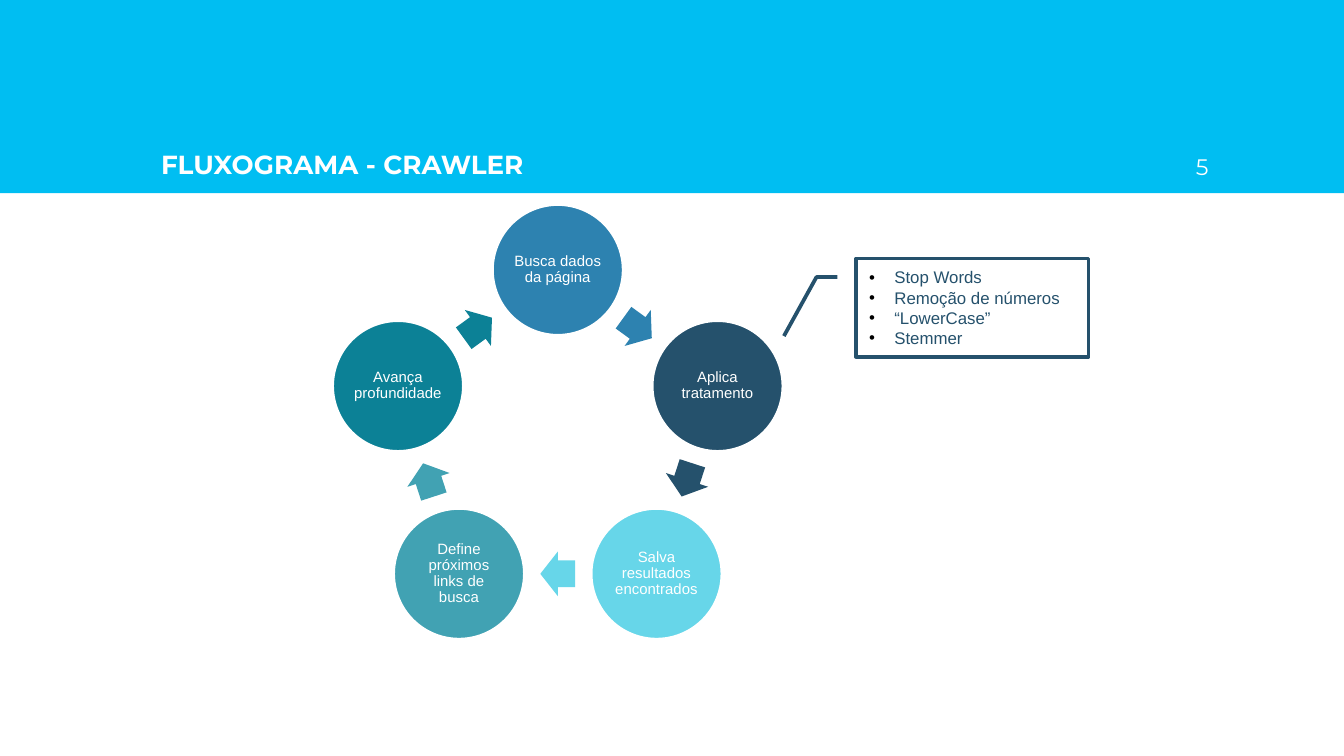
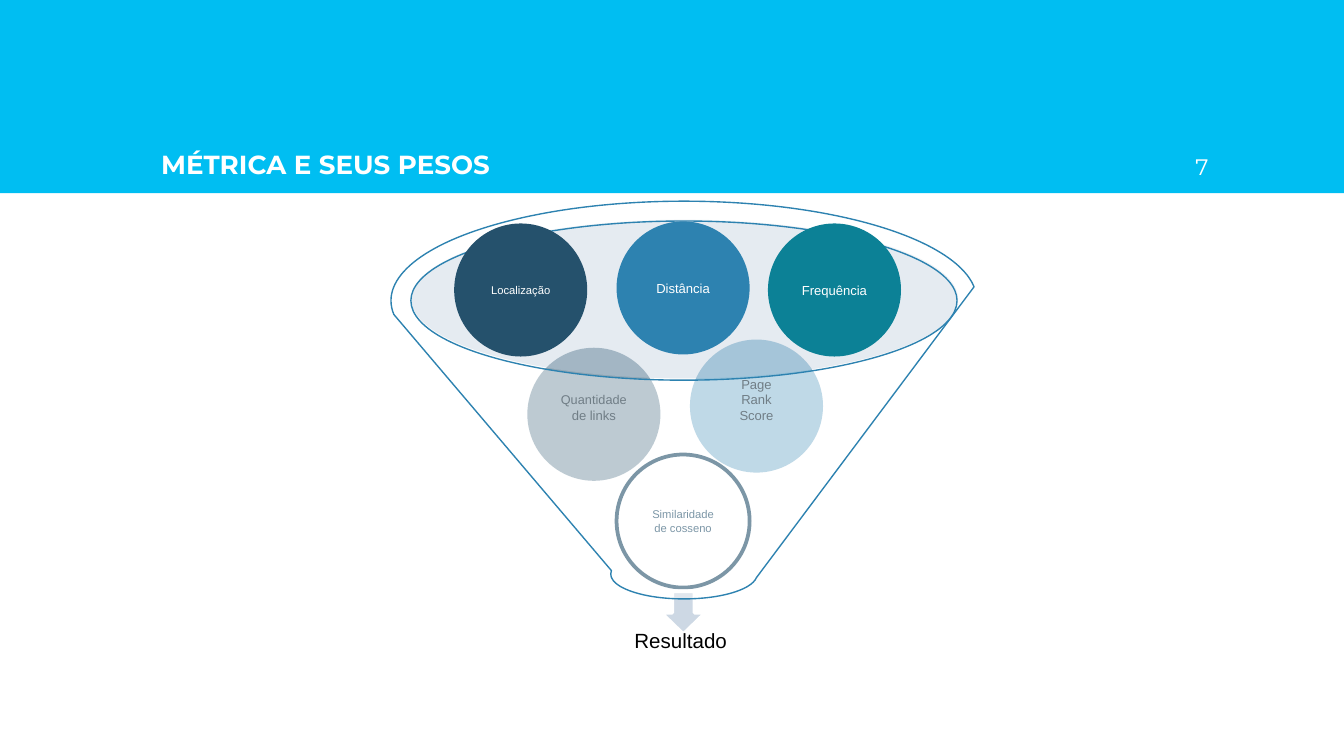
from math import cos, pi, sin

from lxml.etree import SubElement
from pptx import Presentation
from pptx.dml.color import RGBColor
from pptx.enum.shapes import MSO_SHAPE as Geometry
from pptx.enum.text import MSO_ANCHOR as Anchor, PP_ALIGN as Align
from pptx.oxml.ns import qn
from pptx.util import Pt

WHITE, BLACK, SKY = "FFFFFF", "000000", "00BEF2"
NAVY, BLUE, TEAL = "25516C", "2D82B0", "0C8196"
AQUA, SEA, INK = "67D6E9", "41A2B3", "122836"
HAZE, MIST = "BECDDC", "CDD8E4"
BALL = 71.28


def color(code):
    """Turn a hex string into a colour."""
    return RGBColor.from_string(code)


class Slides:
    """Holds the deck, its style and the current page."""

    heading_font, body_font = "Montserrat", "Arial"

    def __init__(self):
        """Start a 16:9 deck."""
        self.deck = Presentation()
        self.deck.slide_width, self.deck.slide_height = Pt(720), Pt(405)
        self.page = None

    def start(self, title, number):
        """Add a page with its band, title and number."""
        self.page = self.deck.slides.add_slide(self.deck.slide_layouts[6])
        self.shape(Geometry.RECTANGLE, 0, 0, 720, 103.5, SKY)
        style = {"font": self.heading_font, "anchor": Anchor.BOTTOM}
        self.text(79.2, 51.1, 561.6, 52.6, title, 14, WHITE,
                  bold=True, align=Align.LEFT, **style)
        self.text(611.3, 51.1, 43.2, 52.6, number, 12, WHITE,
                  align=Align.RIGHT, **style)

    def shape(self, kind, left, top, width, height, fill, opacity=100,
              line=None, weight=2, turn=0, adjust=()):
        """Draw a preset shape."""
        box = self.page.shapes.add_shape(
            kind, Pt(left), Pt(top), Pt(width), Pt(height))
        box.shadow.inherit = False
        box.rotation = turn
        for index, value in enumerate(adjust):
            box.adjustments[index] = value
        box.fill.solid()
        box.fill.fore_color.rgb = color(fill)
        if opacity < 100:
            tint = box.element.spPr.find(qn("a:solidFill"))[0]
            SubElement(tint, qn("a:alpha"), val=str(opacity * 1000))
        if line:
            box.line.color.rgb = color(line)
            box.line.width = Pt(weight)
        else:
            box.line.fill.background()
        return box

    def label(self, box, words, size, ink, font=None, bold=False,
              align=Align.CENTER, anchor=Anchor.MIDDLE, inset=(7.2, 3.6),
              below=0, spacing=None):
        """Fill a box with text, one paragraph a line."""
        frame = box.text_frame
        frame.text = words
        frame.word_wrap = True
        frame.vertical_anchor = anchor
        frame.margin_left = frame.margin_right = Pt(inset[0])
        frame.margin_top = Pt(inset[1])
        frame.margin_bottom = Pt(inset[1] + below)
        for para in frame.paragraphs:
            para.alignment = align
            if spacing:
                para.line_spacing = spacing
            for span in para.runs:
                span.font.name = font or self.body_font
                span.font.size = Pt(size)
                span.font.bold = bold
                span.font.color.rgb = color(ink)
        return frame

    def text(self, left, top, width, height, words, size, ink, **style):
        """Add a text box."""
        box = self.page.shapes.add_textbox(
            Pt(left), Pt(top), Pt(width), Pt(height))
        self.label(box, words, size, ink, inset=(7.2, 7.2), **style)

    def ball(self, left, top, words, size, ink, fill, below=0, **look):
        """Draw a labelled circle of the funnel."""
        box = self.shape(Geometry.OVAL, left, top, BALL, BALL, fill, **look)
        return self.label(box, words, size, ink, below=below)

    def cycle(self, steps, center_x, center_y, radius):
        """Draw steps on a ring with an arrow after each."""
        size, length, breadth = 70.6, 18.7, 23.8
        sector = 2 * pi / len(steps)
        for index, (words, fill) in enumerate(steps):
            angle = index * sector
            box = self.shape(
                Geometry.OVAL,
                center_x + radius * sin(angle) - size / 2,
                center_y - radius * cos(angle) - size / 2,
                size, size, fill, line=WHITE)
            self.label(box, words, 8, WHITE, inset=(0.72, 0.72), spacing=0.9)
            middle = angle + sector / 2
            reach = radius * cos(sector / 2)
            self.shape(
                Geometry.RIGHT_ARROW,
                center_x + reach * sin(middle) - length / 2,
                center_y - reach * cos(middle) - breadth / 2,
                length, breadth, fill, turn=(index + 0.5) * 360 / len(steps),
                adjust=(0.6, 0.5))

    def callout(self, left, top, width, height, items, adjust):
        """Draw a bulleted callout."""
        box = self.shape(Geometry.LINE_CALLOUT_2, left, top, width, height,
                         WHITE, line=NAVY, adjust=adjust)
        frame = self.label(box, "\n".join(items), 9, NAVY, align=Align.LEFT)
        for para in frame.paragraphs:
            layout = para._p.get_or_add_pPr()
            layout.set("marL", str(Pt(13.5)))
            layout.set("indent", str(Pt(-13.5)))
            tint = SubElement(layout, qn("a:buClr"))
            SubElement(tint, qn("a:srgbClr"), val=BLACK)
            SubElement(layout, qn("a:buFont"), typeface=self.body_font)
            SubElement(layout, qn("a:buChar"), char="•")


def crawler_page(slides):
    """Build the crawler flowchart."""
    slides.start("FLUXOGRAMA - CRAWLER", "5")
    slides.cycle([
        ("Busca dados da página", BLUE),
        ("Aplica tratamento", NAVY),
        ("Salva resultados encontrados", AQUA),
        ("Define próximos links de busca", SEA),
        ("Avança profundidade", TEAL),
    ], 298.8, 234.6, 90)
    slides.callout(
        458.6, 138.5, 124.6, 52.6,
        ["Stop Words", "Remoção de números", "“LowerCase”", "Stemmer"],
        (0.19, -0.08, 0.19, -0.17, 0.79, -0.31))


def metrics_page(slides):
    """Build the funnel of metrics."""
    slides.start("MÉTRICA E SEUS PESOS", "7")
    links = slides.ball(282.5, 186.3, "Quantidade\nde links", 7, INK, NAVY,
                        below=7, opacity=50)
    links.paragraphs[0].runs[0].font.size = Pt(6.8)
    slides.ball(369.6, 181.9, "Page\nRank\nScore", 7, INK, BLUE,
                below=7, opacity=50)
    slides.ball(330.3, 243.5, "Similaridade de cosseno", 6, NAVY, WHITE,
                line=NAVY)
    slides.shape(Geometry.OVAL, 220.3, 117.7, 293, 85, HAZE, opacity=40)
    slides.shape(Geometry.DOWN_ARROW, 354.2, 316.8, 23.8, 23, MIST, line=WHITE)
    slides.text(250.6, 315.4, 228.2, 56.9, "Resultado", 11, BLACK, spacing=0.9)
    slides.shape(Geometry.FUNNEL, 209.5, 107.8, 313.9, 213.1, WHITE,
                 opacity=40, line=BLUE, weight=0.75)
    for left, top, words, size, fill in (
            (243.3, 119.7, "Localização", 6, NAVY),
            (330.3, 118.6, "Distância", 7, BLUE),
            (411.4, 119.7, "Frequência", 7, TEAL)):
        slides.ball(left, top, words, size, WHITE, fill)


def main():
    """Build and save the deck."""
    slides = Slides()
    crawler_page(slides)
    metrics_page(slides)
    slides.deck.save("out.pptx")


if __name__ == "__main__":
    main()
